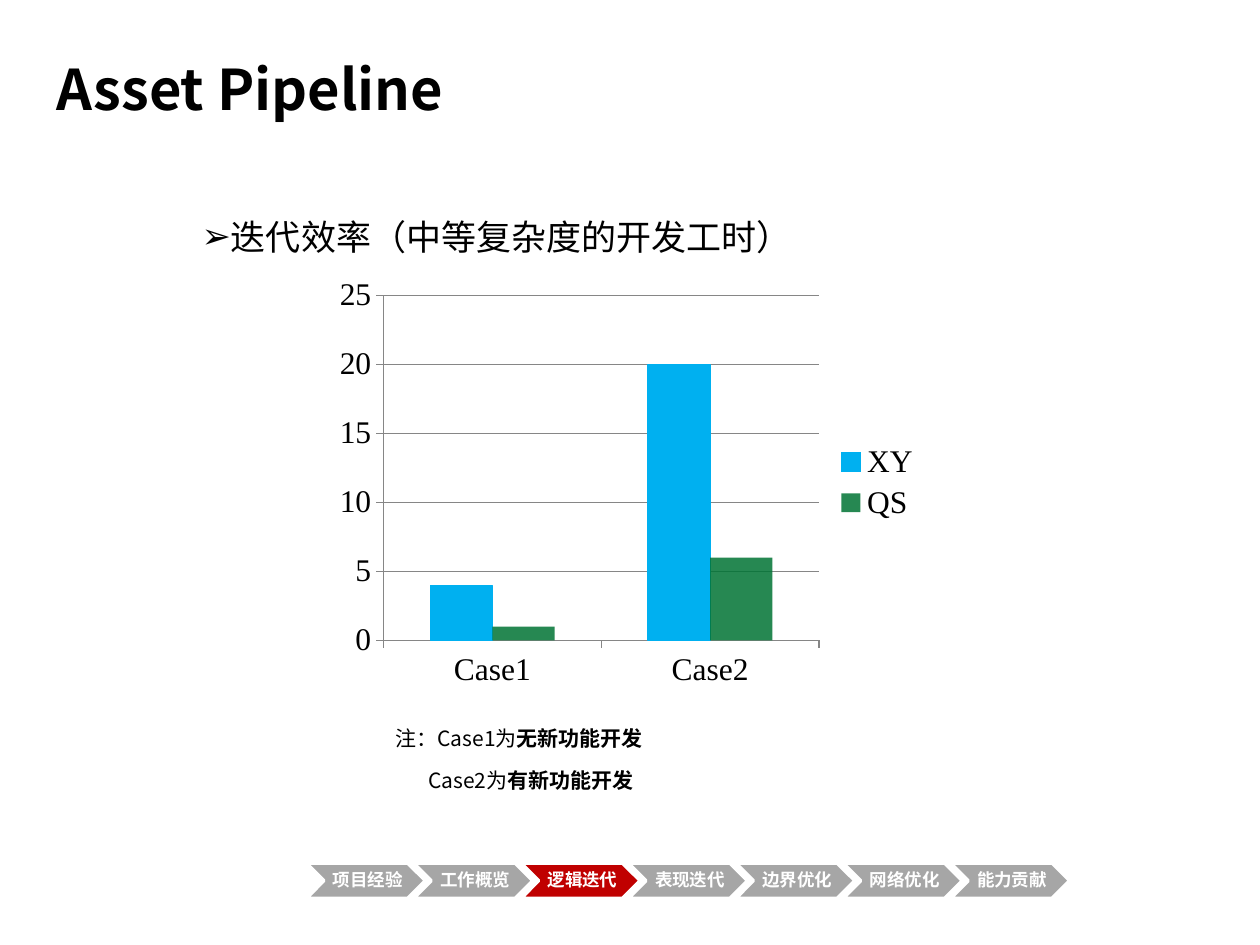
from lxml.etree import SubElement
from pptx import Presentation
from pptx.chart.data import CategoryChartData
from pptx.dml.color import RGBColor
from pptx.enum.chart import XL_CHART_TYPE, XL_LEGEND_POSITION, XL_TICK_MARK
from pptx.enum.shapes import MSO_SHAPE
from pptx.enum.text import MSO_ANCHOR, MSO_AUTO_SIZE, PP_ALIGN
from pptx.oxml.ns import qn
from pptx.util import Inches, Pt

BLACK = RGBColor(0x00, 0x00, 0x00)
WHITE = RGBColor(0xFF, 0xFF, 0xFF)
GRAY = RGBColor(0xA6, 0xA6, 0xA6)
AXIS_GRAY = RGBColor(0x86, 0x86, 0x86)
RED = RGBColor(0xC0, 0x00, 0x00)
BLUE = RGBColor(0x00, 0xB0, 0xF0)
GREEN = RGBColor(0x00, 0x74, 0x34)
SANS = "Noto Sans CJK SC"
SERIF = "Times New Roman"

SECTIONS = ["项目经验", "工作概览", "逻辑迭代", "表现迭代", "边界优化", "网络优化", "能力贡献"]
CURRENT_SECTION = "逻辑迭代"
NOTES = [("注：Case1为", "无新功能开发", 0), ("Case2为", "有新功能开发", 0.26)]


def place(shape, box):
    shape.left, shape.top, shape.width, shape.height = map(Inches, box)


def style_sans(paragraph, size, bold=False):
    """Apply the sans font to Latin and East Asian text alike."""
    font = paragraph.font
    font.name, font.size, font.bold = SANS, Pt(size), bold
    font.color.rgb = BLACK
    defaults = paragraph._p.pPr.find(qn("a:defRPr"))
    SubElement(defaults, qn("a:ea"), typeface=SANS)


def set_indent(paragraph, left):
    properties = paragraph._p.get_or_add_pPr()
    properties.set("marL", str(Inches(left)))
    properties.set("indent", "0")


def add_title(slide, box):
    title = slide.shapes.title
    place(title, box)
    frame = title.text_frame
    frame.text = "Asset Pipeline"
    frame.vertical_anchor = MSO_ANCHOR.MIDDLE
    heading = frame.paragraphs[0]
    heading.alignment = PP_ALIGN.LEFT
    style_sans(heading, 32, bold=True)


def add_topic(slide, box):
    body = slide.placeholders[1]
    place(body, box)
    frame = body.text_frame
    frame.text = "迭代效率（中等复杂度的开发工时）"
    frame.auto_size = MSO_AUTO_SIZE.NONE
    topic = frame.paragraphs[0]
    set_indent(topic, 0)
    topic.line_spacing = 1.5
    topic.space_before = Pt(0)
    SubElement(topic._p.pPr, qn("a:buChar"), char="➢")
    style_sans(topic, 20)


def style_axis(axis):
    axis.major_tick_mark = XL_TICK_MARK.OUTSIDE
    axis.format.line.color.rgb = AXIS_GRAY
    axis.format.line.width = Pt(0.75)


def add_hours_chart(slide, box):
    hours = CategoryChartData()
    hours.categories = ["Case1", "Case2"]
    hours.add_series("XY", (4, 20))
    hours.add_series("QS", (1, 6))
    chart = slide.shapes.add_chart(
        XL_CHART_TYPE.COLUMN_CLUSTERED, *map(Inches, box), hours).chart
    chart.has_title = False
    chart.font.name, chart.font.size = SERIF, Pt(18)
    chart.font.color.rgb = BLACK
    chart.has_legend = True
    chart.legend.position = XL_LEGEND_POSITION.RIGHT
    chart.legend.include_in_layout = False

    style_axis(chart.category_axis)
    scale = chart.value_axis
    style_axis(scale)
    scale.minimum_scale, scale.maximum_scale, scale.major_unit = 0, 25, 5
    scale.has_major_gridlines = True
    scale.major_gridlines.format.line.color.rgb = AXIS_GRAY
    scale.major_gridlines.format.line.width = Pt(0.75)

    plot = chart.plots[0]
    plot.vary_by_categories = False
    plot.gap_width, plot.overlap = 150, 0
    for series, color in zip(plot.series, (BLUE, GREEN)):
        series.format.fill.solid()
        series.format.fill.fore_color.rgb = color
    xy, qs = plot.series
    xy.format.line.color.rgb = BLUE
    xy.format.line.width = Pt(0.75)
    qs.format.line.fill.background()
    green = next(qs._element.iter(qn("a:srgbClr")))
    SubElement(green, qn("a:alpha"), val="85000")


def add_notes(slide, box):
    frame = slide.shapes.add_textbox(*map(Inches, box)).text_frame
    frame.word_wrap = True
    for row, (case, meaning, left) in enumerate(NOTES):
        note = frame.add_paragraph() if row else frame.paragraphs[0]
        set_indent(note, left)
        note.line_spacing = 1.5
        note.space_before = Pt(2.4 if row else 0)
        note.add_run().text = case
        emphasis = note.add_run()
        emphasis.text = meaning
        emphasis.font.bold = True
        style_sans(note, 12)


def add_section_bar(slide, box):
    """Chevrons overlap by a tenth of their width and fill the box."""
    left, top, width, height = box
    step_width = width / (0.9 * (len(SECTIONS) - 1) + 1)
    for column, section in enumerate(SECTIONS):
        step_left = left + column * 0.9 * step_width
        step = slide.shapes.add_shape(
            MSO_SHAPE.CHEVRON, *map(Inches, (step_left, top, step_width, height)))
        step.shadow.inherit = False
        step.fill.solid()
        step.fill.fore_color.rgb = RED if section == CURRENT_SECTION else GRAY
        step.line.color.rgb = WHITE
        step.line.width = Pt(2)
        frame = step.text_frame
        frame.text = section
        frame.word_wrap = False
        frame.vertical_anchor = MSO_ANCHOR.MIDDLE
        frame.margin_left = Inches(0.04)
        frame.margin_right = frame.margin_top = frame.margin_bottom = Inches(0.01)
        label = frame.paragraphs[0]
        label.alignment = PP_ALIGN.CENTER
        label.line_spacing = 0.9
        label.font.name, label.font.size, label.font.bold = SERIF, Pt(10), True
        label.font.color.rgb = WHITE


def main():
    deck = Presentation()
    deck.slide_width, deck.slide_height = Inches(10), Inches(7.5)
    slide = deck.slides.add_slide(deck.slide_layouts[1])
    add_title(slide, (0.35, 0.24, 6.57, 0.92))
    add_topic(slide, (1.5, 1.49, 6.86, 0.77))
    add_hours_chart(slide, (2.6, 2.14, 4.81, 3.38))
    add_notes(slide, (3.04, 5.61, 4.56, 0.87))
    add_section_bar(slide, (2.43, 6.85, 6.06, 0.28))
    deck.save("out.pptx")


if __name__ == "__main__":
    main()
